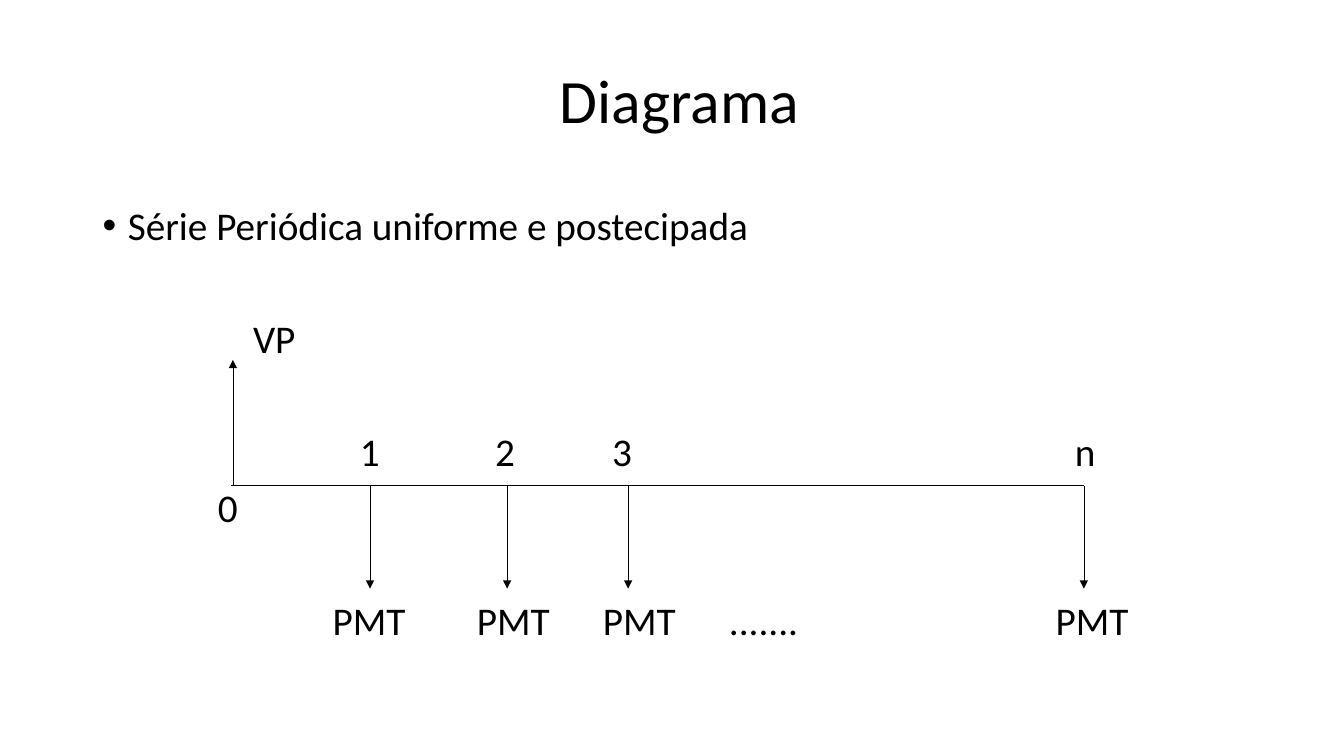
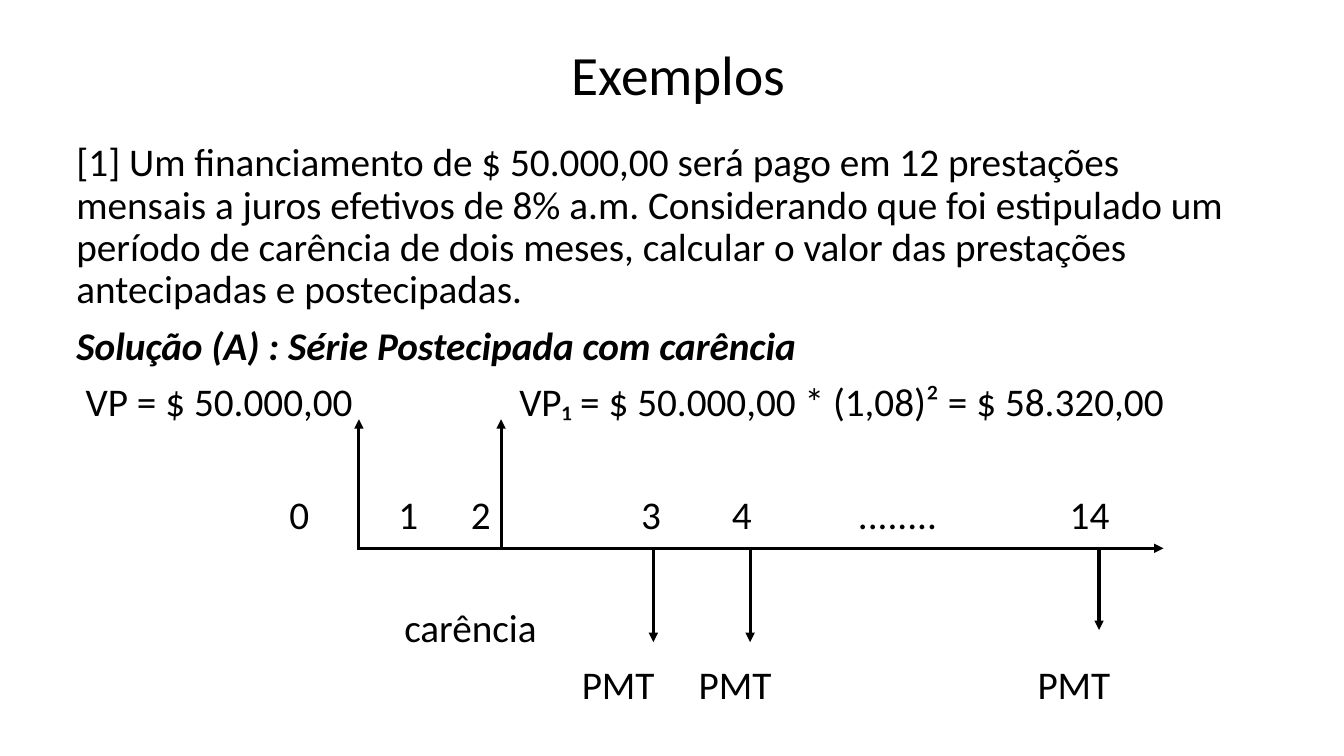
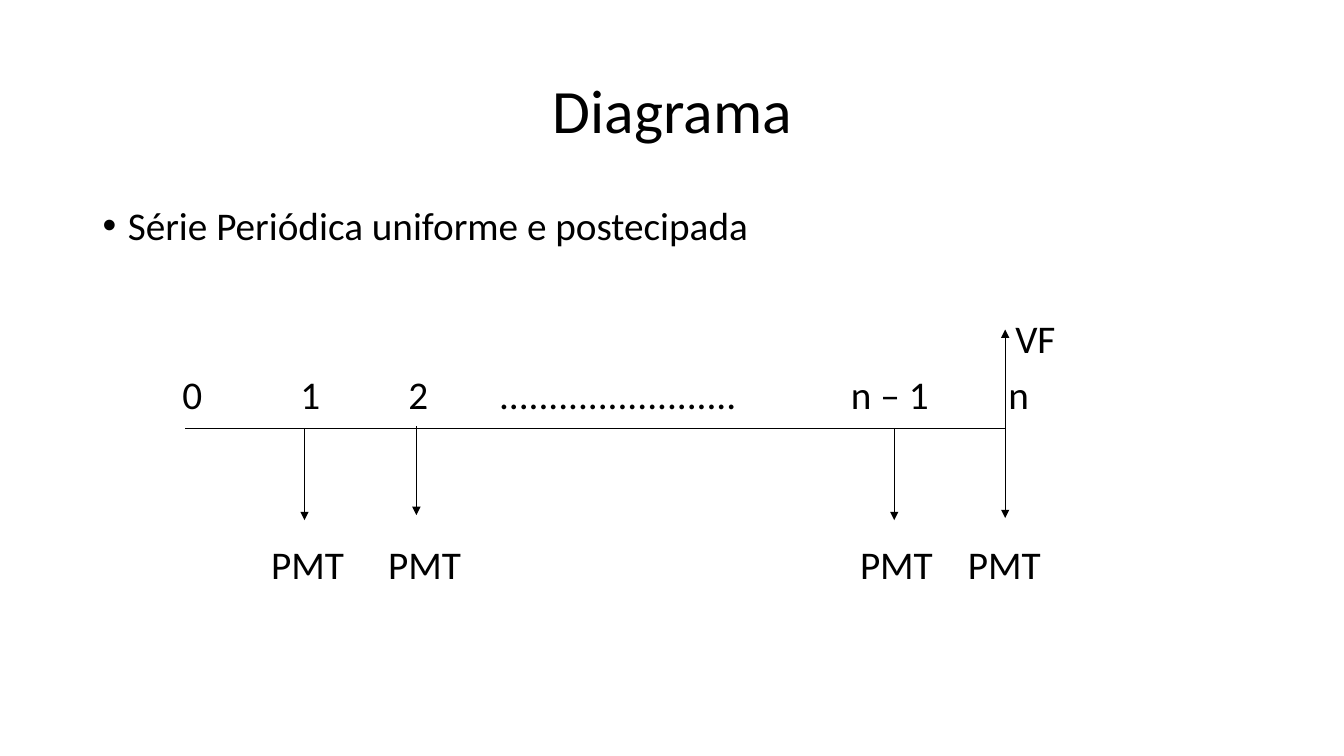
import pptx
import pptx.util
import pptx.dml.color
import pptx.enum.shapes
import pptx.enum.text
import pptx.oxml.ns
import lxml.etree

Inches = pptx.util.Inches
Pt = pptx.util.Pt
qn = pptx.oxml.ns.qn

HUES = {"ink": "000000", "page": "FFFFFF"}
FONT = "Calibri"
SIZE = 28
PITCH = 0.56
SERIES = "Série Periódica uniforme e postecipada"
LOAN = ("[1] Um financiamento de $ 50.000,00 será pago em 12 prestações "
        "mensais a juros efetivos de 8% a.m. Considerando que foi estipulado "
        "um período de carência de dois meses, calcular o valor das "
        "prestações antecipadas e postecipadas.")
ANSWER = "Solução (A) : Série Postecipada com carência"

SLIDES = [
    {
        "title": ("Diagrama", 44, 0.99, 1.25),
        "body": (0.92, 2, 11.5, 0.6),
        "paras": [(SERIES, "bullet")],
        "base": 2.05,
        "rows": {
            2: [("VP", 2.51)],
            4: [("1", 3.57), ("2", 4.91), ("3", 6.07), ("n", 10.66)],
            5: [("0", 2.16)],
            7: [("PMT", 3.3), ("PMT", 4.73), ("PMT", 5.98),
                (".......", 7.23), ("PMT", 10.47)],
        },
        "width": 0.5,
        "axis": (2.29, 10.75, 4.82, False),
        "arrows": [(2.31, 4.82, 3.57)]
        + [(x, 4.82, 5.84) for x in (3.67, 5.03, 6.23, 10.75)],
    },
    {
        "title": ("Exemplos", 39.6, 0.98, 0.73),
        "body": (0.66, 1.37, 11.76, 2.4),
        "paras": [(LOAN, "plain"), (ANSWER, "strong")],
        "base": 3.24,
        "rows": {
            1: [("VP = $ 50.000,00", 0.85),
                ("VP₁ = $ 50.000,00 * (1,08)² = $ 58.320,00", 5.15)],
            3: [("0", 2.87), ("1", 3.95), ("2", 4.67), ("3", 6.36),
                ("4", 7.26), ("........", 8.51), ("14", 10.61)],
            5: [("carência", 4.01)],
            6: [("PMT", 5.77), ("PMT", 6.93), ("PMT", 10.29)],
        },
        "width": 2.25,
        "axis": (3.54, 11.54, 5.44, True),
        "arrows": [(x, 5.44, 4.16) for x in (3.56, 4.97)]
        + [(6.48, 5.44, 6.37), (7.44, 5.44, 6.37), (10.9, 5.44, 6.25)],
    },
    {
        "title": ("Diagrama", 44, 0.92, 1.45),
        "body": (0.92, 2, 11.5, 0.6),
        "paras": [(SERIES, "bullet")],
        "base": 2.05,
        "rows": {
            2: [("VF", 10.07)],
            3: [("0", 1.81), ("1", 2.98), ("2", 4.05), ("." * 24, 4.95),
                ("n – 1", 8.44), ("n", 10)],
            6: [("PMT", 2.69), ("PMT", 3.85), ("PMT", 8.53), ("PMT", 9.6)],
        },
        "width": 0.5,
        "axis": (1.84, 9.97, 4.25, False),
        "arrows": [(3.02, 4.25, 5.16), (4.13, 4.23, 5.11),
                   (8.87, 4.25, 5.16), (9.97, 4.23, 5.14),
                   (9.97, 4.23, 3.27)],
    },
]


def color(name):
    return pptx.dml.color.RGBColor.from_string(HUES[name])


def write(para, text, size=SIZE, strong=False):
    para.line_spacing = 0.9
    run = para.add_run()
    run.text = text
    font = run.font
    font.name, font.size = FONT, Pt(size)
    font.bold = font.italic = strong
    font.color.rgb = color("ink")


def head(slide, text, size, left, height):
    title = slide.shapes.title
    title.left, title.top = Inches(left), Inches(0.4)
    title.width, title.height = Inches(11.5), Inches(height)
    frame = title.text_frame
    frame.vertical_anchor = pptx.enum.text.MSO_ANCHOR.MIDDLE
    para = frame.paragraphs[0]
    para.alignment = pptx.enum.text.PP_ALIGN.CENTER
    write(para, text, size)


def box(slide, *place):
    frame = slide.shapes.add_textbox(*map(Inches, place)).text_frame
    frame.word_wrap = True
    return frame


def body(slide, place, paras):
    frame = box(slide, *place)
    for i, (text, kind) in enumerate(paras):
        para = frame.add_paragraph() if i else frame.paragraphs[0]
        para.space_before = Pt(10 if i else 0)
        write(para, text, strong=kind == "strong")
        if kind == "bullet":
            props = para._p.get_or_add_pPr()
            props.set("marL", str(Inches(0.25)))
            props.set("indent", str(-Inches(0.25)))
            lxml.etree.SubElement(props, qn("a:buFont")).set("typeface", "Arial")
            lxml.etree.SubElement(props, qn("a:buChar")).set("char", "•")


def label(slide, text, left, top):
    width = min(0.25 * len(text) + 0.1, 12.9 - left)
    frame = box(slide, left, top, width, 0.43)
    frame.margin_left = frame.margin_right = 0
    frame.margin_top = frame.margin_bottom = 0
    write(frame.paragraphs[0], text)


def line(slide, ends, width, arrow=True):
    kind = pptx.enum.shapes.MSO_CONNECTOR.STRAIGHT
    link = slide.shapes.add_connector(kind, *map(Inches, ends))
    link.line.color.rgb = color("ink")
    link.line.width = Pt(width)
    if arrow:
        tail = lxml.etree.SubElement(link.line._get_or_add_ln(), qn("a:tailEnd"))
        tail.set("type", "triangle")
    lxml.etree.SubElement(link._element.spPr, qn("a:effectLst"))


def build(deck, data):
    slide = deck.slides.add_slide(deck.slide_layouts[5])
    fill = slide.background.fill
    fill.solid()
    fill.fore_color.rgb = color("page")
    head(slide, *data["title"])
    body(slide, data["body"], data["paras"])
    for row, items in data["rows"].items():
        for text, left in items:
            label(slide, text, left, data["base"] + row * PITCH)
    start, end, level, arrow = data["axis"]
    line(slide, (start, level, end, level), data["width"], arrow)
    for x, tail, tip in data["arrows"]:
        line(slide, (x, tail, x, tip), data["width"])


def main():
    deck = pptx.Presentation()
    deck.slide_width, deck.slide_height = Inches(13.33), Inches(7.5)
    for data in SLIDES:
        build(deck, data)
    deck.save("out.pptx")


if __name__ == "__main__":
    main()
